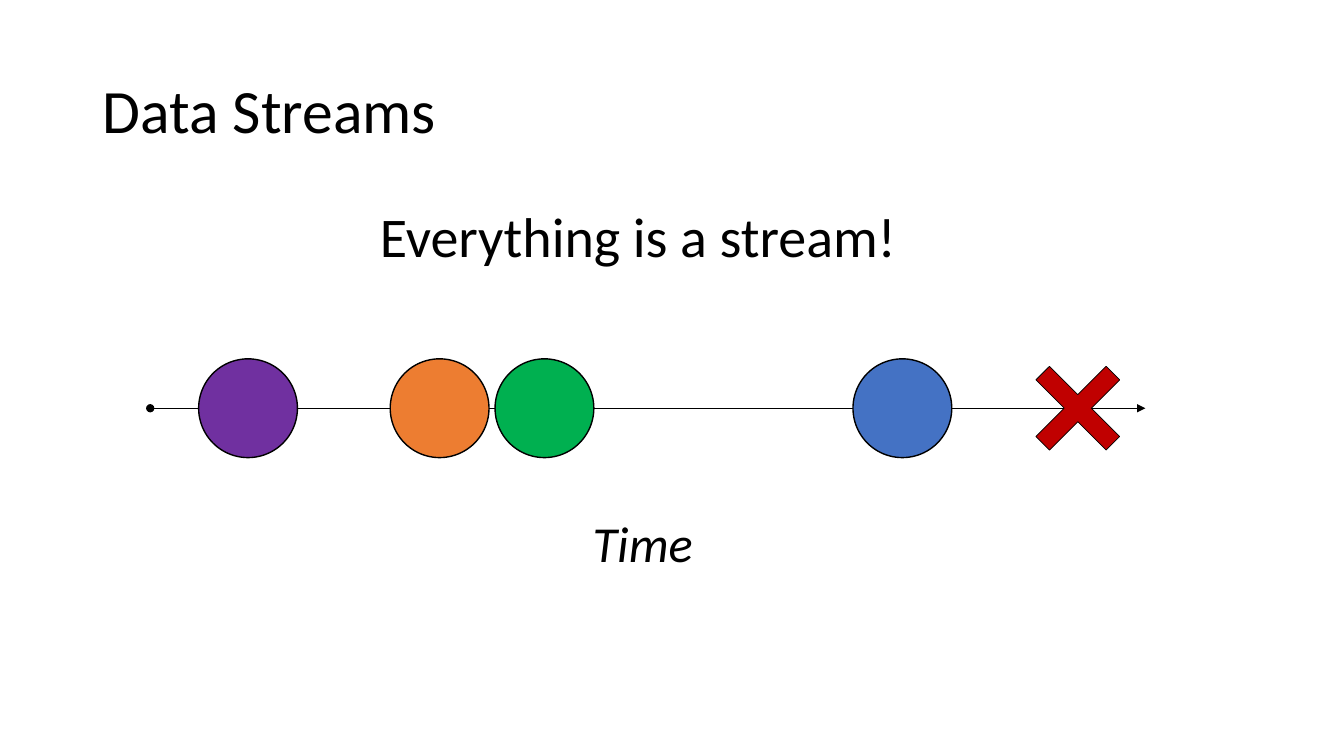
from lxml.etree import SubElement
from pptx import Presentation
from pptx.dml.color import RGBColor
from pptx.enum.shapes import MSO_CONNECTOR, MSO_SHAPE
from pptx.enum.text import MSO_ANCHOR
from pptx.oxml.ns import qn
from pptx.util import Inches, Pt

COLORS = {
    "black": "000000",
    "purple": "7030A0",
    "orange": "ED7D31",
    "green": "00B050",
    "blue": "4472C4",
    "red": "C00000",
}
TIMELINE_Y = 4.05
EVENT_SIZE = 0.98
CROSS_SIZE = 1.34
EVENTS = [(1.97, "purple"), (3.87, "orange"), (4.91, "green"), (8.46, "blue")]


class StreamSlide:
    """Draws the elements of a data stream slide in one shared style."""

    def __init__(self, page, font="Calibri"):
        self.page = page
        self.font = font

    def color(self, name):
        return RGBColor.from_string(COLORS[name])

    def text(self, words, left, top, width, height, size,
             italic=None, anchor=MSO_ANCHOR.TOP, spacing=None):
        box = self.page.shapes.add_textbox(
            Inches(left), Inches(top), Inches(width), Inches(height))
        frame = box.text_frame
        frame.word_wrap = True
        frame.vertical_anchor = anchor
        para = frame.paragraphs[0]
        para.text = words
        para.line_spacing = spacing
        para.font.name = self.font
        para.font.size = Pt(size)
        para.font.italic = italic
        para.font.color.rgb = self.color("black")

    def timeline(self, start, end):
        arrow = self.page.shapes.add_connector(
            MSO_CONNECTOR.STRAIGHT, Inches(start), Inches(TIMELINE_Y),
            Inches(end), Inches(TIMELINE_Y))
        arrow.line.color.rgb = self.color("black")
        arrow.line.width = Pt(0.5)
        outline = arrow.line._get_or_add_ln()
        SubElement(outline, qn("a:headEnd"), type="oval")
        SubElement(outline, qn("a:tailEnd"), type="triangle")
        SubElement(arrow._element.spPr, qn("a:effectLst"))

    def marker(self, kind, left, size, fill, line_width):
        shape = self.page.shapes.add_shape(
            kind, Inches(left), Inches(TIMELINE_Y - size / 2),
            Inches(size), Inches(size))
        shape.shadow.inherit = False
        shape.fill.solid()
        shape.fill.fore_color.rgb = self.color(fill)
        shape.line.color.rgb = self.color("black")
        shape.line.width = Pt(line_width)
        return shape


def main():
    deck = Presentation()
    deck.slide_width = Inches(13.33)
    deck.slide_height = Inches(7.5)
    slide = StreamSlide(deck.slides.add_slide(deck.slide_layouts[6]))

    slide.text("Data Streams", 0.92, 0.4, 11.5, 1.45, 44,
               anchor=MSO_ANCHOR.MIDDLE, spacing=0.9)
    slide.timeline(1.49, 11.36)
    for left, fill in EVENTS:
        slide.marker(MSO_SHAPE.OVAL, left, EVENT_SIZE, fill, 1)
    cross = slide.marker(MSO_SHAPE.MATH_MULTIPLY, 10.02, CROSS_SIZE, "red", 0.5)
    cross.adjustments[0] = 0.142
    slide.text("Time", 5.78, 5.03, 1.29, 0.71, 36, italic=True)
    slide.text("Everything is a stream!", 3.67, 1.95, 5.5, 0.77, 40)

    deck.save("out.pptx")


if __name__ == "__main__":
    main()
